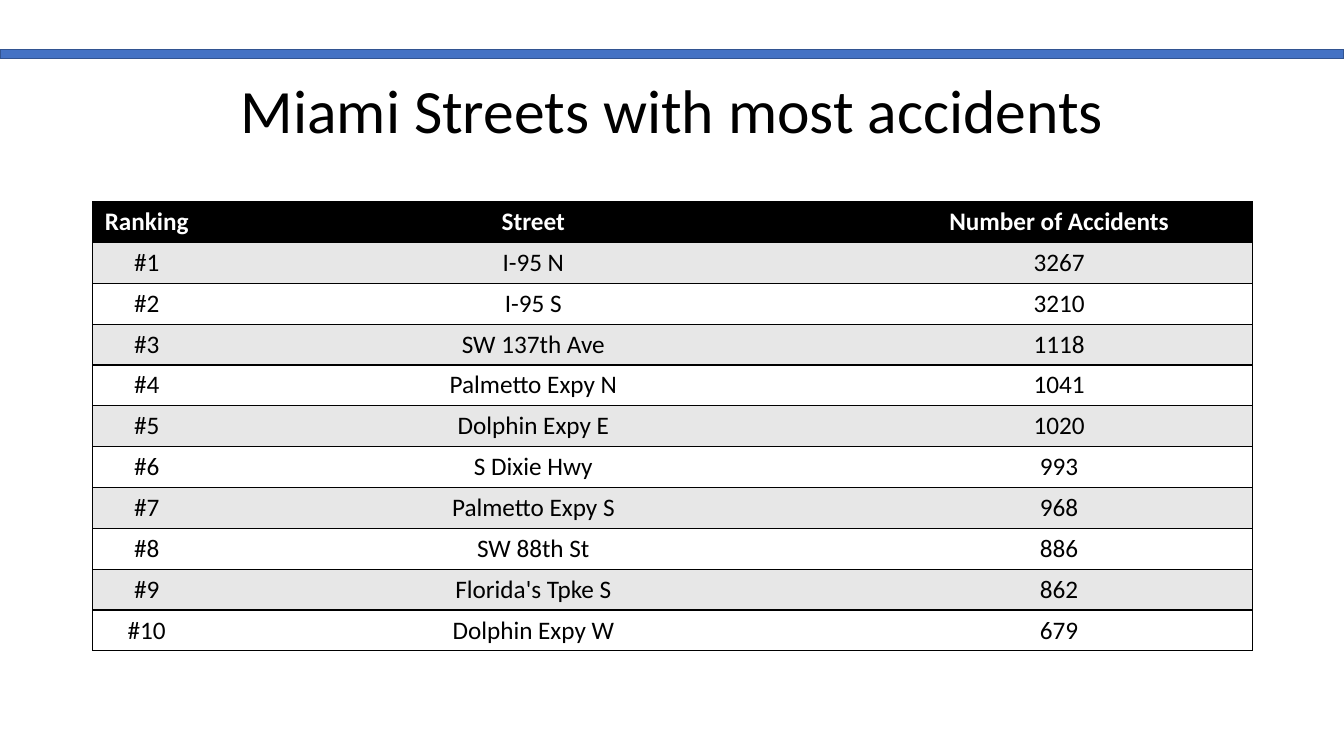
from lxml.etree import SubElement as Sub
from pptx import Presentation as Deck
from pptx.dml.color import RGBColor as Rgb
from pptx.enum.shapes import MSO_SHAPE as Shape
from pptx.enum.text import MSO_ANCHOR as Anchor, PP_ALIGN as Align
from pptx.oxml.ns import qn
from pptx.util import Inches, Pt

HUES = {"ink": "000000", "paper": "FFFFFF", "band": "E7E7E7",
        "bar": "4472C4", "edge": "325491"}
HEADS = ("Ranking", "Street", "Number of Accidents")
STREETS = (
    ("I-95 N", 3267), ("I-95 S", 3210), ("SW 137th Ave", 1118),
    ("Palmetto Expy N", 1041), ("Dolphin Expy E", 1020),
    ("S Dixie Hwy", 993), ("Palmetto Expy S", 968), ("SW 88th St", 886),
    ("Florida's Tpke S", 862), ("Dolphin Expy W", 679),
)


class Page:
    def __init__(self, slide):
        self.slide = slide
        self.face = "Calibri"

    def hue(self, name):
        return Rgb.from_string(HUES[name])

    def label(self, frame, words, color="ink", **form):
        para = frame.paragraphs[0]
        para.alignment = Align.CENTER
        run = para.add_run()
        run.text = words
        for key, value in {"name": self.face, **form}.items():
            setattr(run.font, key, value)
        run.font.color.rgb = self.hue(color)
        return para

    def title(self, words, box):
        frame = self.slide.shapes.add_textbox(*map(Inches, box)).text_frame
        frame.word_wrap = True
        frame.vertical_anchor = Anchor.MIDDLE
        self.label(frame, words, size=Pt(44)).line_spacing = 0.9

    def bar(self, box):
        bar = self.slide.shapes.add_shape(Shape.RECTANGLE, *map(Inches, box))
        bar.shadow.inherit = False
        bar.fill.solid()
        bar.fill.fore_color.rgb = self.hue("bar")
        bar.line.color.rgb = self.hue("edge")
        bar.line.width = Pt(1)

    def border(self, cell, sides):
        props = cell._tc.get_or_add_tcPr()
        for side in "LRTB":
            line = Sub(props, qn(f"a:ln{side}"), w=str(Pt(1)))
            if side in sides:
                fill = Sub(line, qn("a:solidFill"))
                Sub(fill, qn("a:srgbClr"), val=HUES["ink"])
            else:
                Sub(line, qn("a:noFill"))

    def table(self, rows, widths, box):
        grid = self.slide.shapes.add_table(
            len(rows), len(widths), *map(Inches, box)).table
        grid.horz_banding = False
        for col, width in zip(grid.columns, widths):
            col.width = Inches(width)
        sides = ["LTB"] + ["TB"] * (len(widths) - 2) + ["RTB"]
        for i, row in enumerate(rows):
            if i == 0:
                fill, color = "ink", "paper"
            else:
                fill, color = ("band" if i % 2 else "paper"), "ink"
            for j, words in enumerate(row):
                cell = grid.cell(i, j)
                self.border(cell, sides[j])
                cell.fill.solid()
                cell.fill.fore_color.rgb = self.hue(fill)
                self.label(cell.text_frame, str(words), color,
                           size=Pt(18), bold=i == 0)


def main():
    deck = Deck()
    deck.slide_width, deck.slide_height = Inches(13.33), Inches(7.5)
    page = Page(deck.slides.add_slide(deck.slide_layouts[6]))
    page.title("Miami Streets with most accidents", (0.92, 0.4, 11.5, 1.45))
    rows = [HEADS] + [(f"#{rank}", *street)
                      for rank, street in enumerate(STREETS, 1)]
    page.table(rows, (1.07, 6.6, 3.83), (0.92, 2, 11.5, 4.46))
    page.bar((0, 0.49, 13.33, 0.09))
    deck.save("out.pptx")


if __name__ == "__main__":
    main()
